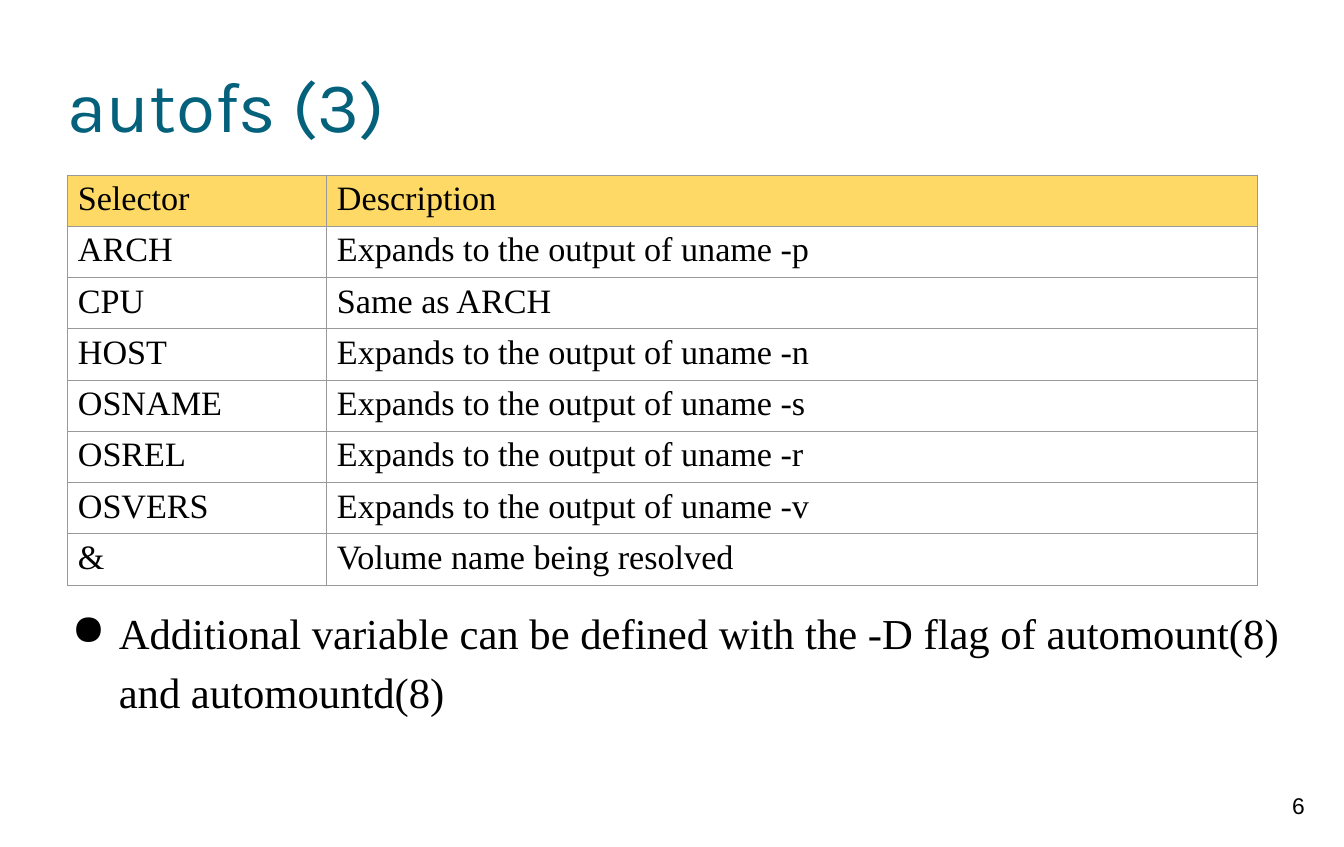
"""Build the autofs selector slide."""
from lxml import etree
from pptx import Presentation
from pptx.dml.color import RGBColor
from pptx.enum.text import MSO_ANCHOR, PP_ALIGN
from pptx.oxml.ns import qn
from pptx.util import Inches, Pt

TOP, MIDDLE = MSO_ANCHOR.TOP, MSO_ANCHOR.MIDDLE
LEFT, CENTER = PP_ALIGN.LEFT, PP_ALIGN.CENTER
SERIF = "Times New Roman"
COLORS = {"text": "000000", "title": "04617B", "head": "FFD966", "grid": "999999"}
ROWS = [
    ("Selector", "Description"),
    ("ARCH", "Expands to the output of uname -p"),
    ("CPU", "Same as ARCH"),
    ("HOST", "Expands to the output of uname -n"),
    ("OSNAME", "Expands to the output of uname -s"),
    ("OSREL", "Expands to the output of uname -r"),
    ("OSVERS", "Expands to the output of uname -v"),
    ("&", "Volume name being resolved"),
]
WIDTHS = (2.53, 9.09)
ROW_HEIGHT = 0.37


def set_font(para, name, size, color="text"):
    """Set the font of a whole paragraph."""
    font = para.font
    font.name, font.size = name, Pt(size)
    font.color.rgb = RGBColor.from_string(COLORS[color])


def add_text(slide, box, text, inset=0, anchor=TOP, align=LEFT):
    """Add a wrapped text box and return its paragraph."""
    frame = slide.shapes.add_textbox(*map(Inches, box)).text_frame
    frame.word_wrap = True
    frame.vertical_anchor = anchor
    frame.margin_left = frame.margin_right = Inches(inset)
    frame.margin_top = frame.margin_bottom = Inches(inset)
    para = frame.paragraphs[0]
    para.text, para.alignment = text, align
    return para


def add_bullet(para, left, indent):
    """Give a paragraph a round bullet and a hanging indent."""
    props = para._p.get_or_add_pPr()
    props.set("marL", str(Inches(left)))
    props.set("indent", str(Inches(indent)))
    color = etree.SubElement(props, qn("a:buClr"))
    etree.SubElement(color, qn("a:srgbClr"), val=COLORS["text"])
    etree.SubElement(props, qn("a:buChar"), char="●")


def add_border(cell):
    """Draw a thin line on each side of a cell."""
    props = cell._tc.get_or_add_tcPr()
    for spot, side in enumerate(("lnL", "lnR", "lnT", "lnB")):
        line = etree.Element(qn(f"a:{side}"), w=str(Pt(0.75)))
        fill = etree.SubElement(line, qn("a:solidFill"))
        etree.SubElement(fill, qn("a:srgbClr"), val=COLORS["grid"])
        props.insert(spot, line)


def fill_cell(cell, text, head):
    """Write and style one table cell."""
    cell.text = text
    set_font(cell.text_frame.paragraphs[0], SERIF, 24)
    if head:
        cell.fill.solid()
        cell.fill.fore_color.rgb = RGBColor.from_string(COLORS["head"])
    else:
        cell.fill.background()
    add_border(cell)


def add_grid(slide, left, top):
    """Add the table of selectors."""
    size = (sum(WIDTHS), ROW_HEIGHT * len(ROWS))
    table = slide.shapes.add_table(
        len(ROWS), len(WIDTHS), *map(Inches, (left, top, *size))).table
    table.first_row = table.horz_banding = False
    for column, width in zip(table.columns, WIDTHS):
        column.width = Inches(width)
    for row, texts in enumerate(ROWS):
        for col, text in enumerate(texts):
            fill_cell(table.cell(row, col), text, row == 0)


def main():
    """Make the slide and save it."""
    deck = Presentation()
    deck.slide_width, deck.slide_height = Inches(13.12), Inches(8.27)
    slide = deck.slides.add_slide(deck.slide_layouts[6])

    page = add_text(slide, (12.28, 7.63, 0.79, 0.63), "6", 0.1, align=CENTER)
    set_font(page, "Arial", 16)
    title = add_text(slide, (0.66, 0.33, 11.81, 1.38), "autofs (3)", anchor=MIDDLE)
    set_font(title, "Karla", 50, "title")
    add_grid(slide, 0.66, 1.71)
    note = add_text(slide, (0.66, 5.85, 11.84, 2.05),
                    "Additional variable can be defined with the -D flag "
                    "of automount(8) and automountd(8)")
    note.line_spacing = 1.15
    add_bullet(note, 0.5, -0.46)
    set_font(note, SERIF, 30)

    deck.save("out.pptx")


if __name__ == "__main__":
    main()
